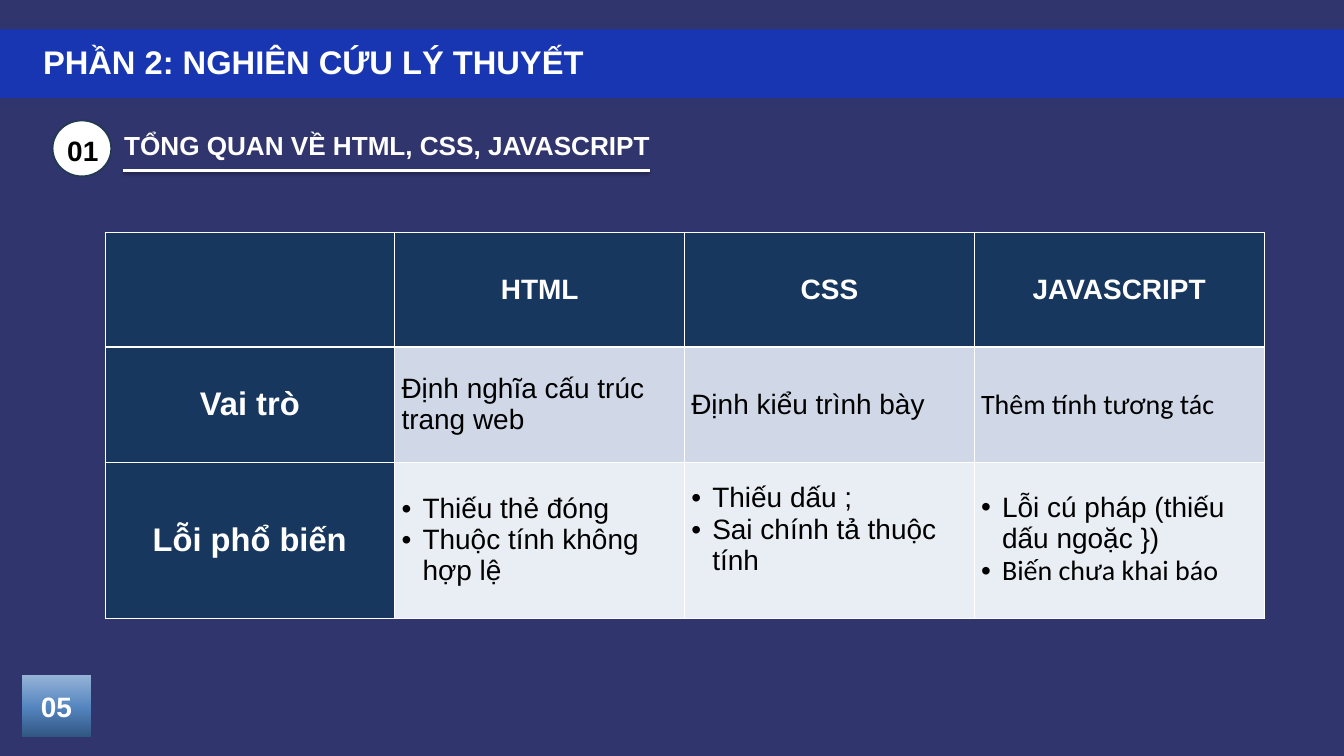
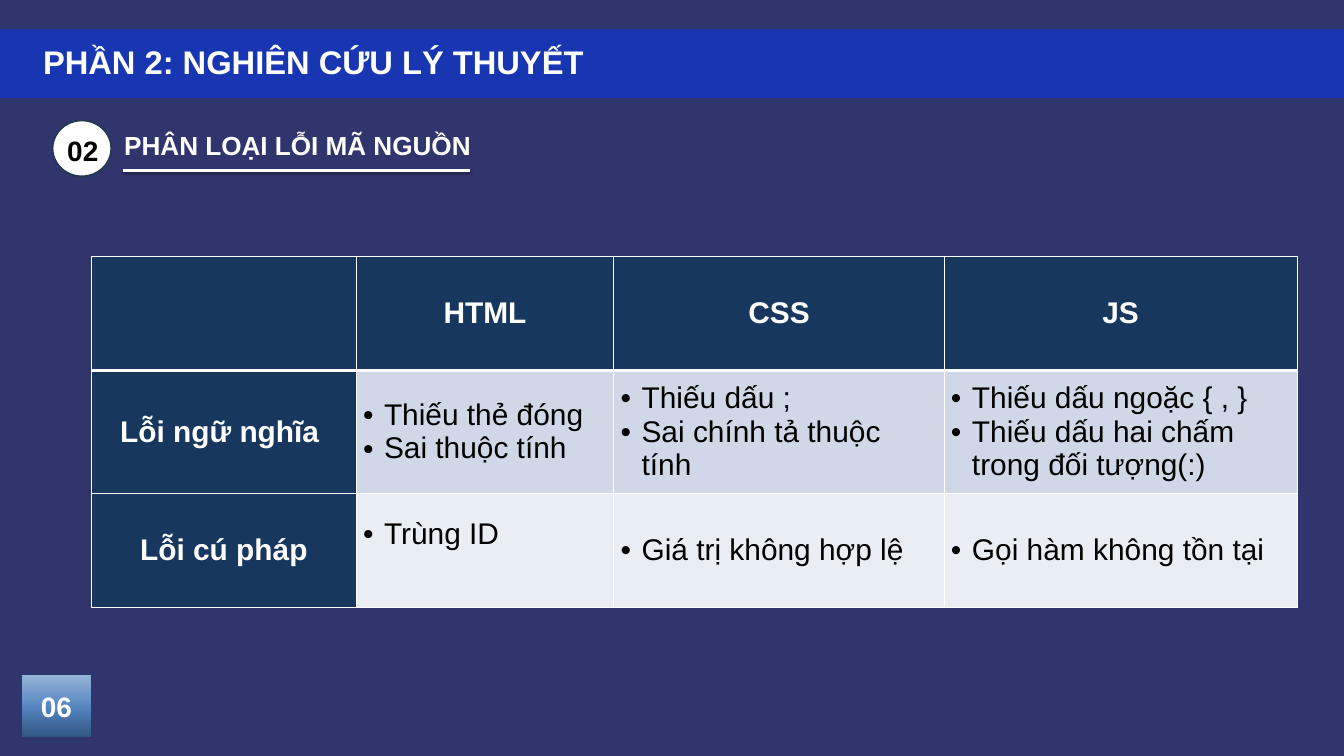
import dataclasses
import typing

import lxml.etree
import pptx
import pptx.dml.color
import pptx.enum.shapes
import pptx.enum.text
import pptx.oxml
import pptx.oxml.ns
import pptx.util

PX = 9525  # EMU per px: the slide is 1920 x 1080 px
FONT = "Arial"
COLORS = {
    "background": "31356E",
    "band": "1836B2",
    "white": "FFFFFF",
    "black": "000000",
    "badge_line": "233953",
    "header": "17375E",
    "row_odd": "D0D8E8",
    "row_even": "E9EDF4",
}
PAGE_GRADIENT = ((0, "315683"), (48, "5485BF"), (100, "95B3D7"))
SECTION = "PHẦN 2: NGHIÊN CỨU LÝ THUYẾT"

ALIGN = pptx.enum.text.PP_ALIGN
ANCHOR = pptx.enum.text.MSO_ANCHOR
SHAPE = pptx.enum.shapes.MSO_SHAPE


@dataclasses.dataclass
class Line:
    text: str
    font: str = FONT


@dataclasses.dataclass
class Cell:
    lines: list[Line]
    bullets: bool = True
    align: typing.Optional[ALIGN] = None
    lift: int = 0  # extra bottom margin, px


@dataclasses.dataclass
class Row:
    label: str
    height: int
    cells: list[Cell]


@dataclasses.dataclass
class Grid:
    left: int
    top: int
    widths: list[int]
    header_height: int
    headers: list[str]
    rows: list[Row]
    header_size: int
    label_size: int
    body_size: int


@dataclasses.dataclass
class Topic:
    number: str
    heading: str
    rule_end: int
    page: str
    grid: Grid


def bulleted(*texts: str, lift: int = 0) -> Cell:
    return Cell([Line(t) for t in texts], lift=lift)


def plain(text: str, align: typing.Optional[ALIGN] = None, font: str = FONT) -> Cell:
    return Cell([Line(text, font)], bullets=False, align=align)


TOPICS = [
    Topic("01", "TỔNG QUAN VỀ HTML, CSS, JAVASCRIPT", 928, "05", Grid(
        150, 332, [414] * 4, 164, ["HTML", "CSS", "JAVASCRIPT"],
        [
            Row("Vai trò", 164, [
                plain("Định nghĩa cấu trúc trang web"),
                plain("Định kiểu trình bày", ALIGN.JUSTIFY),
                plain("Thêm tính tương tác", ALIGN.JUSTIFY, "Calibri"),
            ]),
            Row("Lỗi phổ biến", 223, [
                bulleted("Thiếu thẻ đóng", "Thuộc tính không hợp lệ"),
                bulleted("Thiếu dấu ;", "Sai chính tả thuộc tính", lift=30),
                Cell([Line("Lỗi cú pháp (thiếu dấu ngoặc })"),
                      Line("Biến chưa khai báo", "Calibri")]),
            ]),
        ],
        header_size=30, label_size=35, body_size=30)),
    Topic("02", "PHÂN LOẠI LỖI MÃ NGUỒN", 672, "06", Grid(
        131, 366, [378, 368, 472, 504], 163, ["HTML", "CSS", "JS"],
        [
            Row("Lỗi ngữ nghĩa ", 176, [
                bulleted("Thiếu thẻ đóng", "Sai thuộc tính"),
                bulleted("Thiếu dấu ;", "Sai chính tả thuộc tính"),
                bulleted("Thiếu dấu ngoặc { , }",
                         "Thiếu dấu hai chấm trong đối tượng(:)"),
            ]),
            Row("Lỗi cú pháp", 163, [
                bulleted("Trùng ID", lift=48),
                bulleted("Giá trị không hợp lệ"),
                bulleted("Gọi hàm không tồn tại"),
            ]),
        ],
        header_size=32, label_size=32, body_size=32)),
]


def rgb(name: str) -> pptx.dml.color.RGBColor:
    return pptx.dml.color.RGBColor.from_string(COLORS[name])


def px(*values: int) -> list[pptx.util.Emu]:
    return [pptx.util.Emu(v * PX) for v in values]


def xml(markup: str) -> lxml.etree.ElementBase:
    """Parse markup whose root is an element in the drawing namespace."""
    tag, rest = markup[1:].split(" ", 1)
    return pptx.oxml.parse_xml(f"<{tag} {pptx.oxml.ns.nsdecls('a')} {rest}")


# Text
def write(tf, lines: list[Line], *, size: int, color: str = "white",
          bold: bool = True, align: typing.Optional[ALIGN] = None,
          bullets: bool = False, spacing: typing.Optional[float] = None) -> None:
    for i, line in enumerate(lines):
        p = tf.add_paragraph() if i else tf.paragraphs[0]
        if align is not None:
            p.alignment = align
        if spacing:
            p.line_spacing = pptx.util.Pt(spacing)
        if bullets:
            pPr = p._p.get_or_add_pPr()
            pPr.set("marL", str(30 * PX))
            pPr.set("indent", str(-30 * PX))
            pPr.append(xml('<a:buFont typeface="Arial"/>'))
            pPr.append(xml('<a:buChar char="•"/>'))
        r = p.add_run()
        r.text = line.text
        r.font.name = line.font
        r.font.size = pptx.util.Pt(size)
        r.font.bold = bold
        r.font.color.rgb = rgb(color)


def add_text(shapes, box: tuple[int, int, int, int], text: str, *,
             inset: bool = True, **fmt) -> None:
    tf = shapes.add_textbox(*px(*box)).text_frame
    tf.word_wrap = True
    tf.auto_size = pptx.enum.text.MSO_AUTO_SIZE.SHAPE_TO_FIT_TEXT
    if not inset:
        tf.margin_left = tf.margin_top = tf.margin_right = tf.margin_bottom = 0
    write(tf, [Line(text)], **fmt)


# Shapes
def add_shape(shapes, kind: SHAPE, box: tuple[int, int, int, int],
              fill: typing.Optional[str] = None, line: typing.Optional[str] = None):
    sp = shapes.add_shape(kind, *px(*box))
    sp.shadow.inherit = False
    if fill:
        sp.fill.solid()
        sp.fill.fore_color.rgb = rgb(fill)
    if line:
        sp.line.color.rgb = rgb(line)
        sp.line.width = pptx.util.Pt(2)
    else:
        sp.line.fill.background()
    return sp


def add_page_number(slide, page: str) -> None:
    sp = add_shape(slide.shapes, SHAPE.RECTANGLE, (31, 965, 99, 88))
    stops = "".join(f'<a:gs pos="{pos * 1000}"><a:srgbClr val="{c}"/></a:gs>'
                    for pos, c in PAGE_GRADIENT)
    gradient = xml(f'<a:gradFill rotWithShape="1"><a:gsLst>{stops}</a:gsLst>'
                   '<a:lin ang="16200000" scaled="0"/></a:gradFill>')
    sp._element.spPr.find(pptx.oxml.ns.qn("a:prstGeom")).addnext(gradient)
    sp.text_frame.vertical_anchor = ANCHOR.MIDDLE
    write(sp.text_frame, [Line(page)], size=30, align=ALIGN.CENTER)


def add_rule(slide, end: int) -> None:
    cxn = slide.shapes.add_connector(
        pptx.enum.shapes.MSO_CONNECTOR.STRAIGHT, *px(176, 244, end, 244))
    cxn.line.color.rgb = rgb("white")
    cxn.line.width = pptx.util.Pt(3)
    cxn._element.spPr.append(xml(
        '<a:effectLst ><a:outerShdw blurRad="40000" dist="23000" dir="5400000" '
        f'rotWithShape="0"><a:srgbClr val="{COLORS["black"]}">'
        '<a:alpha val="35000"/></a:srgbClr></a:outerShdw></a:effectLst>'))


# Table
def style_cell(cell, fill: str, borders: dict[str, int]) -> None:
    tcPr = cell._tc.get_or_add_tcPr()
    for side, width in borders.items():
        tcPr.append(xml(
            f'<a:ln{side} w="{pptx.util.Pt(width)}"><a:solidFill>'
            f'<a:srgbClr val="{COLORS["white"]}"/></a:solidFill></a:ln{side}>'))
    cell.fill.solid()
    cell.fill.fore_color.rgb = rgb(fill)
    cell.vertical_anchor = ANCHOR.MIDDLE


def add_grid(slide, grid: Grid) -> None:
    heights = [grid.header_height] + [row.height for row in grid.rows]
    table = slide.shapes.add_table(
        len(heights), len(grid.widths),
        *px(grid.left, grid.top, sum(grid.widths), sum(heights))).table
    for column, width in zip(table.columns, px(*grid.widths)):
        column.width = width
    for row, height in zip(table.rows, px(*heights)):
        row.height = height

    # Header row, with an empty corner
    for c in range(len(grid.widths)):
        cell = table.cell(0, c)
        style_cell(cell, "header", {"L": 1, "R": 1, "T": 1, "B": 3})
        if c:
            write(cell.text_frame, [Line(grid.headers[c - 1])],
                  size=grid.header_size, align=ALIGN.CENTER)

    # Body rows: a label, then the contents
    sides = {"L": 1, "R": 1, "B": 1}
    for i, row in enumerate(grid.rows, 1):
        label = table.cell(i, 0)
        style_cell(label, "header", sides)
        write(label.text_frame, [Line(row.label)],
              size=grid.label_size, align=ALIGN.CENTER)
        for c, content in enumerate(row.cells, 1):
            cell = table.cell(i, c)
            style_cell(cell, "row_odd" if i % 2 else "row_even", sides)
            if content.lift:
                cell.margin_bottom += content.lift * PX
            write(cell.text_frame, content.lines, size=grid.body_size,
                  color="black", bold=False, align=content.align,
                  bullets=content.bullets)


# Slide
def add_topic(prs, topic: Topic) -> None:
    slide = prs.slides.add_slide(prs.slide_layouts[6])
    slide.background.fill.solid()
    slide.background.fill.fore_color.rgb = rgb("background")

    # Title band
    add_shape(slide.shapes, SHAPE.RECTANGLE, (-1, 42, 1924, 98), "band")
    add_text(slide.shapes, (52, 55, 936, 66), SECTION, size=35)

    # Numbered badge and heading
    badge = slide.shapes.add_group_shape()
    add_shape(badge.shapes, SHAPE.OVAL, (75, 172, 84, 80), "white", "badge_line")
    add_text(badge.shapes, (96, 188, 54, 48), topic.number, inset=False,
             size=30, color="black", spacing=38.4)
    add_text(slide.shapes, (168, 180, 801, 55), topic.heading, size=28)

    add_page_number(slide, topic.page)
    add_rule(slide, topic.rule_end)
    add_grid(slide, topic.grid)


def main() -> None:
    prs = pptx.Presentation()
    prs.slide_width, prs.slide_height = px(1920, 1080)
    for topic in TOPICS:
        add_topic(prs, topic)
    prs.save("out.pptx")


if __name__ == "__main__":
    main()
